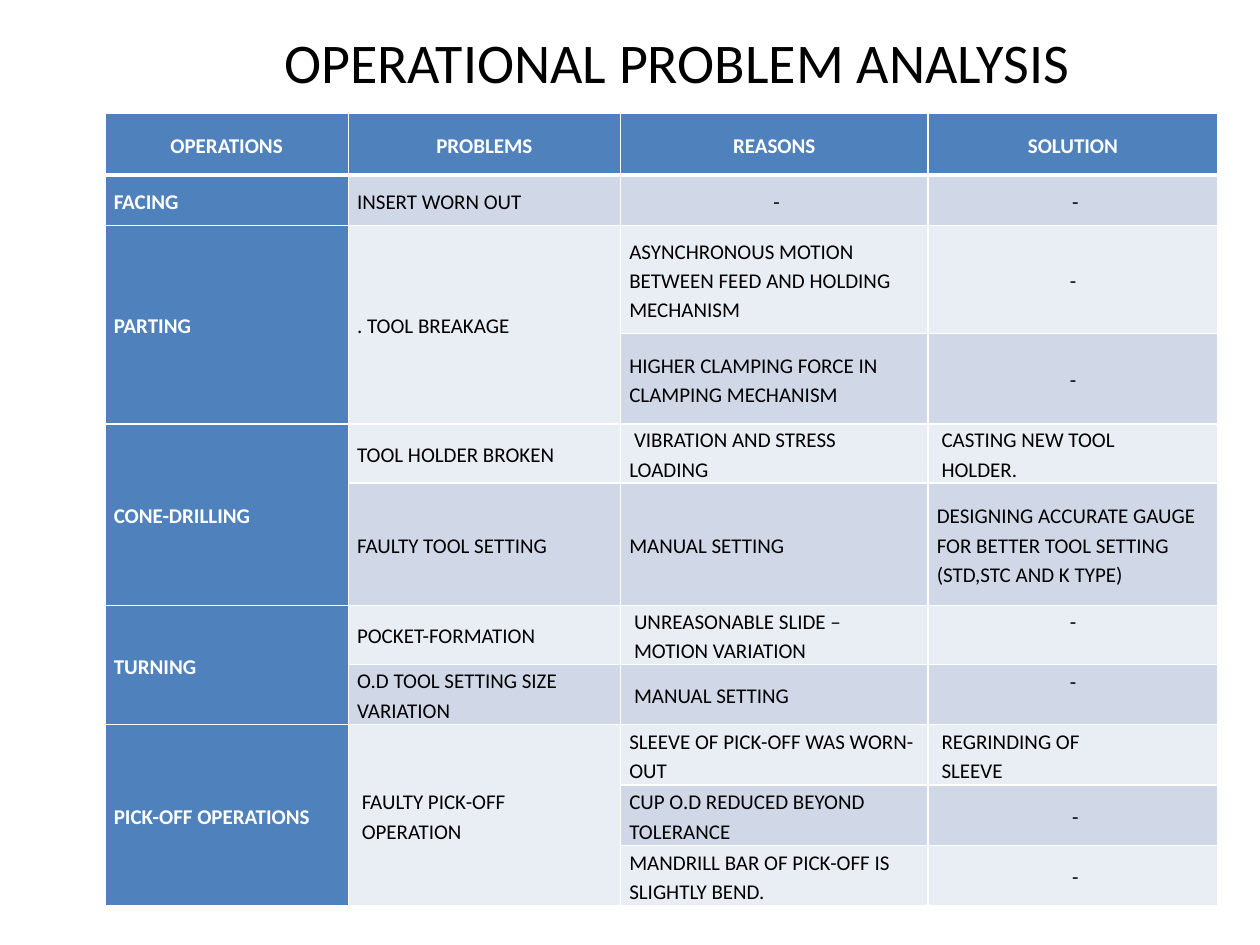
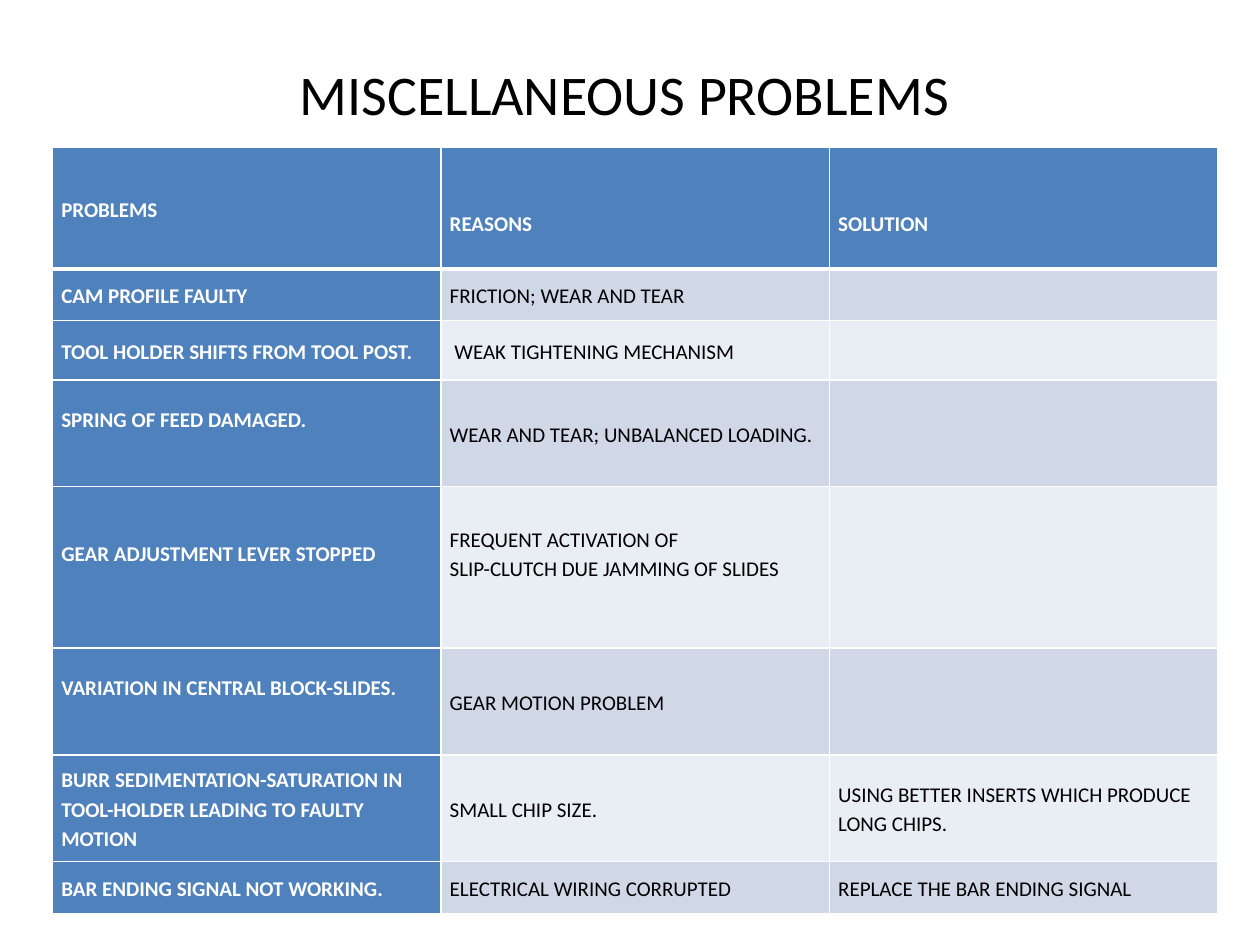
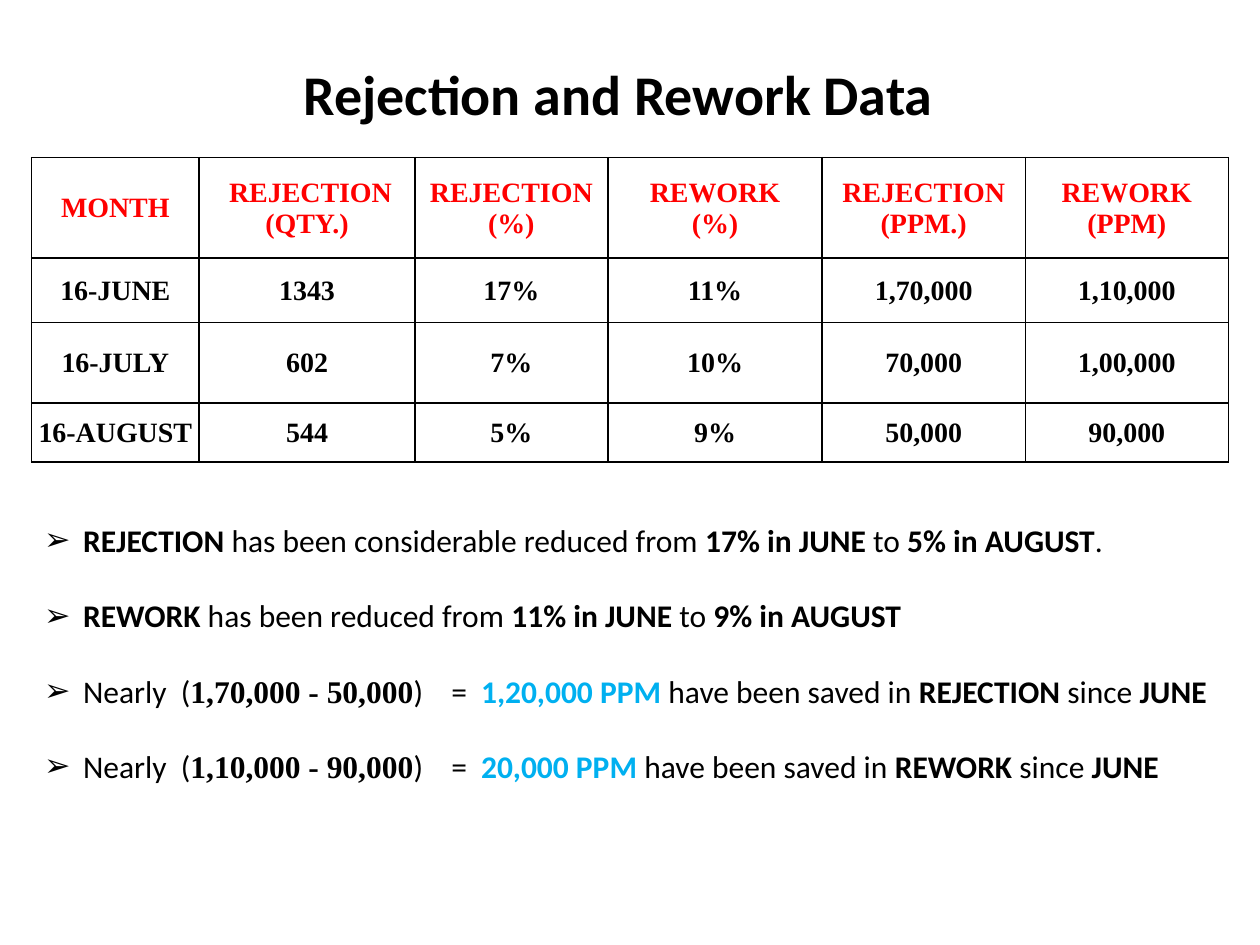
from itertools import takewhile

from lxml import etree
from pptx import Presentation
from pptx.dml.color import RGBColor
from pptx.enum.text import MSO_ANCHOR, MSO_AUTO_SIZE, PP_ALIGN
from pptx.oxml.ns import qn
from pptx.util import Inches, Pt

LEFT, CENTER = PP_ALIGN.LEFT, PP_ALIGN.CENTER
TOP, MIDDLE = MSO_ANCHOR.TOP, MSO_ANCHOR.MIDDLE
NO_FIT = MSO_AUTO_SIZE.NONE

WIDTH, HEIGHT = Inches(10), Inches(7.5)
GRID_COLUMNS, GRID_ROWS = 120, 90
TITLE_ONLY, TITLE_AND_BODY = 5, 1
BLUE, DARK_BAND, LIGHT_BAND = "4F81BD", "D0D8E8", "E9EDF4"
WHITE, BLACK, RED, SKY = "FFFFFF", "000000", "FF0000", "00B0F0"
SANS, SERIF = "Calibri", "Times New Roman"
CELL_LINE = 0.23

OPERATIONS = [
    ["OPERATIONS", "PROBLEMS", "REASONS", "SOLUTION"],
    ["FACING", "INSERT WORN OUT", " -", " -"],
    ["PARTING", ". TOOL BREAKAGE",
     "ASYNCHRONOUS MOTION BETWEEN FEED AND HOLDING MECHANISM", "-"],
    [None, None, "HIGHER CLAMPING FORCE IN CLAMPING MECHANISM", "-"],
    ["CONE-DRILLING", "TOOL HOLDER BROKEN", " VIBRATION AND STRESS LOADING",
     " CASTING NEW TOOL\n HOLDER."],
    [None, "FAULTY TOOL SETTING", "MANUAL SETTING",
     "DESIGNING ACCURATE GAUGE FOR BETTER TOOL SETTING (STD,STC AND K TYPE)"],
    ["TURNING", "POCKET-FORMATION", " UNREASONABLE SLIDE –\n MOTION VARIATION", "-"],
    [None, "O.D TOOL SETTING SIZE VARIATION", " MANUAL SETTING", "-"],
    ["PICK-OFF OPERATIONS", " FAULTY PICK-OFF\n OPERATION",
     "SLEEVE OF PICK-OFF WAS WORN-OUT", " REGRINDING OF\n SLEEVE"],
    [None, None, "CUP O.D REDUCED BEYOND TOLERANCE", " -"],
    [None, None, "MANDRILL BAR OF PICK-OFF IS SLIGHTLY BEND.", " -"],
]
MISCELLANEOUS = [
    ["PROBLEMS", "REASONS", "SOLUTION"],
    ["CAM PROFILE FAULTY", "FRICTION; WEAR AND TEAR", ""],
    ["TOOL HOLDER SHIFTS FROM TOOL POST.", " WEAK TIGHTENING MECHANISM", ""],
    ["SPRING OF FEED DAMAGED.", "WEAR AND TEAR; UNBALANCED LOADING.", ""],
    ["GEAR ADJUSTMENT LEVER STOPPED",
     "FREQUENT ACTIVATION OF\nSLIP-CLUTCH DUE JAMMING OF SLIDES", ""],
    ["VARIATION IN CENTRAL BLOCK-SLIDES.", "GEAR MOTION PROBLEM", ""],
    ["BURR SEDIMENTATION-SATURATION IN TOOL-HOLDER LEADING TO FAULTY MOTION",
     "SMALL CHIP SIZE.", "USING BETTER INSERTS WHICH PRODUCE LONG CHIPS."],
    ["BAR ENDING SIGNAL NOT WORKING.", "ELECTRICAL WIRING CORRUPTED",
     "REPLACE THE BAR ENDING SIGNAL"],
]
REJECTIONS = [
    ["MONTH", " REJECTION\n(QTY.)", "REJECTION (%)", "REWORK\n(%)",
     "REJECTION (PPM.)", "REWORK (PPM)"],
    ["16-JUNE", "1343", "17%", "11%", "1,70,000", "1,10,000"],
    ["16-JULY", "602", "7%", "10%", "70,000", "1,00,000"],
    ["16-AUGUST", "544", "5%", "9%", "50,000", "90,000"],
]


def rgb(value):
    """Turn a hex string into a colour."""
    return RGBColor.from_string(value)


def grid_box(left, top, width, height):
    """Turn grid columns and rows into slide lengths."""
    across, down = WIDTH / GRID_COLUMNS, HEIGHT / GRID_ROWS
    return int(left * across), int(top * down), int(width * across), int(height * down)


def write(frame, lines, size=12, color=BLACK, bold=False, font=SANS,
          align=LEFT, line_spacing=1.0, after=0):
    """Write lines, each a string or a list of (text, format) runs."""
    for index, line in enumerate(lines):
        paragraph = frame.paragraphs[0] if index == 0 else frame.add_paragraph()
        paragraph.alignment = align
        paragraph.line_spacing = line_spacing
        paragraph.space_before, paragraph.space_after = Pt(0), Pt(after)
        for text, look in [(line, {})] if isinstance(line, str) else line:
            run = paragraph.add_run()
            run.text = text
            run.font.size = Pt(size)
            run.font.name = look.get("font", font)
            run.font.bold = look.get("bold", bold)
            run.font.color.rgb = rgb(look.get("color", color))
            if "gap" in look:
                run.font._element.set("spc", str(look["gap"] * 100))


def place(shape, box):
    """Move a placeholder to a grid box."""
    shape.left, shape.top, shape.width, shape.height = grid_box(*box)


def titled_slide(deck, layout, title, box, bold=False):
    """Add a slide with its title in the given box."""
    slide = deck.slides.add_slide(deck.slide_layouts[layout])
    place(slide.shapes.title, box)
    frame = slide.shapes.title.text_frame
    frame.auto_size, frame.vertical_anchor = NO_FIT, MIDDLE
    write(frame, [title], size=32, bold=bold, align=CENTER)
    return slide


def add_borders(cell, color, top=1, bottom=1):
    """Draw the four borders of a cell."""
    properties = cell._tc.get_or_add_tcPr()
    for side, points in (("L", 1), ("R", 1), ("T", top), ("B", bottom)):
        line = etree.SubElement(properties, qn(f"a:ln{side}"), w=str(Pt(points)))
        fill = etree.SubElement(line, qn("a:solidFill"))
        etree.SubElement(fill, qn("a:srgbClr"), val=color)


def add_grid_table(slide, box, columns, rows, content, style_cell):
    """Fill a box with a table; None continues the cell above."""
    left, top, width, height = grid_box(*box)
    table = slide.shapes.add_table(len(rows), len(columns), left, top, width, height).table
    table.first_row = table.horz_banding = False
    for column, share in zip(table.columns, columns):
        column.width = int(width * share / sum(columns))
    for row, share in zip(table.rows, rows):
        row.height = int(height * share / sum(rows))
    for r, texts in enumerate(content):
        for c, text in enumerate(texts):
            cell = table.cell(r, c)
            cell.vertical_anchor = MIDDLE
            style_cell(cell, r, c, text)
            below = [later[c] for later in content[r + 1:]]
            span = len(list(takewhile(lambda entry: entry is None, below)))
            if text is not None and span:
                cell.merge(table.cell(r + span, c))


def banded_table(slide, box, columns, rows, content, header_align=LEFT, pads=None):
    """Add a blue-headed table; pads give free lines above and below a text."""
    def style_cell(cell, r, c, text):
        """Style one cell by its row and column."""
        head = r == 0 or c == 0
        above, below = (pads or {}).get((r, c), (0, 0))
        cell.margin_left = cell.margin_right = Inches(0.07)
        cell.margin_top = Inches(above * CELL_LINE)
        cell.margin_bottom = Inches(below * CELL_LINE)
        add_borders(cell, WHITE, top=3 if r == 1 else 1, bottom=3 if r == 0 else 1)
        cell.fill.solid()
        cell.fill.fore_color.rgb = rgb(BLUE if head else DARK_BAND if r % 2 else LIGHT_BAND)
        if text:
            align = header_align if r == 0 else CENTER if text.strip() == "-" else LEFT
            write(cell.text_frame, text.split("\n"), color=WHITE if head else BLACK,
                  bold=head, align=align, line_spacing=1.15)

    add_grid_table(slide, box, columns, rows, content, style_cell)


def ruled_table(slide, box, columns, rows, content):
    """Add an unfilled table with black rules and a red header."""
    def style_cell(cell, r, c, text):
        """Style one cell by its row."""
        cell.margin_left = cell.margin_right = cell.margin_top = Inches(0.01)
        cell.margin_bottom = 0
        add_borders(cell, BLACK)
        cell.fill.background()
        write(cell.text_frame, text.split("\n"), size=16, bold=True, font=SERIF,
              color=RED if r == 0 else BLACK, align=CENTER)

    add_grid_table(slide, box, columns, rows, content, style_cell)


def strong(text, **look):
    """Return a bold run."""
    return text, {"bold": True, **look}


def plain(text, **look):
    """Return a regular run."""
    return text, look


def reduction(measure, verb, june, august, end=""):
    """Return the runs of a point on a falling rate."""
    return [strong(measure), plain(f" has been {verb} from "), strong(f"{june} in JUNE "),
            plain("to "), strong(f"{august} in AUGUST"), plain(end)]


def saving(measure, difference, saved):
    """Return the runs of a point on saved parts per million."""
    return [plain("Nearly"), plain(" ", gap=4), plain("("), strong(difference, font=SERIF),
            plain(")"), plain(" ", gap=12), plain("="), plain(" ", gap=4),
            strong(f"{saved} PPM ", color=SKY), plain("have been saved in "),
            strong(measure), plain(" since "), strong("JUNE")]


def arrow_list(body, box, points):
    """Fill the body placeholder with arrow-marked points."""
    place(body, box)
    frame = body.text_frame
    frame.auto_size, frame.vertical_anchor = NO_FIT, TOP
    write(frame, points, size=18, after=21.5)
    for paragraph in frame.paragraphs:
        properties = paragraph._p.get_or_add_pPr()
        properties.set("marL", str(Inches(0.31)))
        properties.set("indent", str(-Inches(0.31)))
        etree.SubElement(properties, qn("a:buChar"), char="➢")


def operations_slide(deck):
    """Build the slide on problems by operation."""
    slide = titled_slide(deck, TITLE_ONLY, "OPERATIONAL PROBLEM ANALYSIS", (21, 2, 87, 7.7))
    banded_table(slide, (10, 10.8, 106, 75.5), [1.93, 2.16, 2.44, 2.3],
                 [0.49, 0.4, 0.86, 0.72, 0.47, 0.97, 0.47] + [0.48] * 4,
                 OPERATIONS, CENTER, {(6, 3): (0, 1), (7, 3): (0, 1)})


def miscellaneous_slide(deck):
    """Build the slide on other problems."""
    slide = titled_slide(deck, TITLE_ONLY, "MISCELLANEOUS PROBLEMS", (26, 5, 67, 7.7))
    pads = {(0, 1): (1, 0), (0, 2): (1, 0), (3, 0): (0, 1), (4, 0): (0, 1),
            (4, 1): (0, 1), (5, 0): (0, 1)}
    banded_table(slide, (5, 14, 111, 73), [1] * 3,
                 [0.97, 0.41, 0.47, 0.85, 1.28, 0.85, 0.85, 0.41], MISCELLANEOUS, pads=pads)


def rejection_slide(deck):
    """Build the slide on rejection and rework."""
    slide = titled_slide(deck, TITLE_AND_BODY, "Rejection and Rework Data ",
                         (27, 5, 65, 7.7), bold=True)
    ruled_table(slide, (3, 15, 114, 29), [1.33, 1.71, 1.53, 1.7, 1.61, 1.61],
                [0.8, 0.51, 0.64, 0.47], REJECTIONS)
    arrow_list(slide.placeholders[1], (3, 49, 114, 37.5), [
        reduction("REJECTION", "considerable reduced", "17%", "5%", "."),
        reduction("REWORK", "reduced", "11%", "9%"),
        saving("REJECTION", "1,70,000 - 50,000", "1,20,000"),
        saving("REWORK", "1,10,000 - 90,000", "20,000"),
    ])


def main():
    """Build and save the deck."""
    deck = Presentation()
    deck.slide_width, deck.slide_height = WIDTH, HEIGHT
    operations_slide(deck)
    miscellaneous_slide(deck)
    rejection_slide(deck)
    deck.save("out.pptx")


if __name__ == "__main__":
    main()
